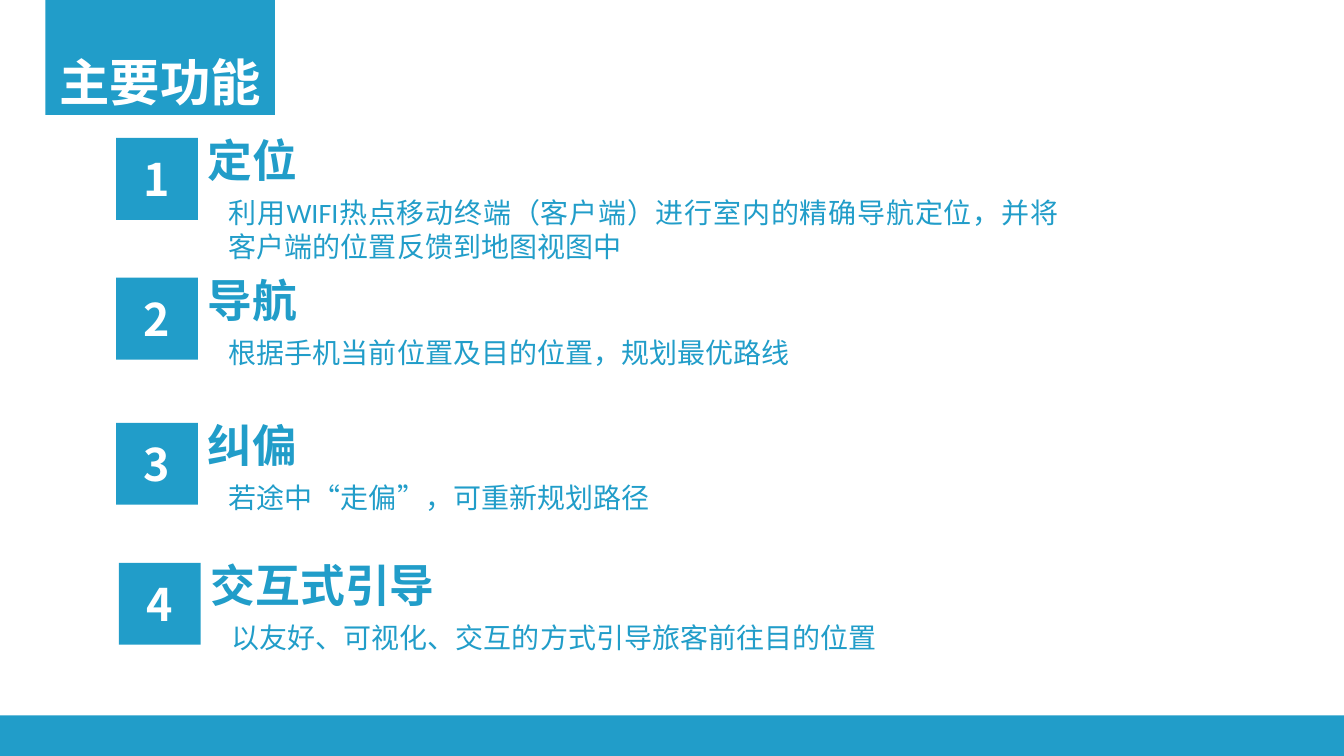
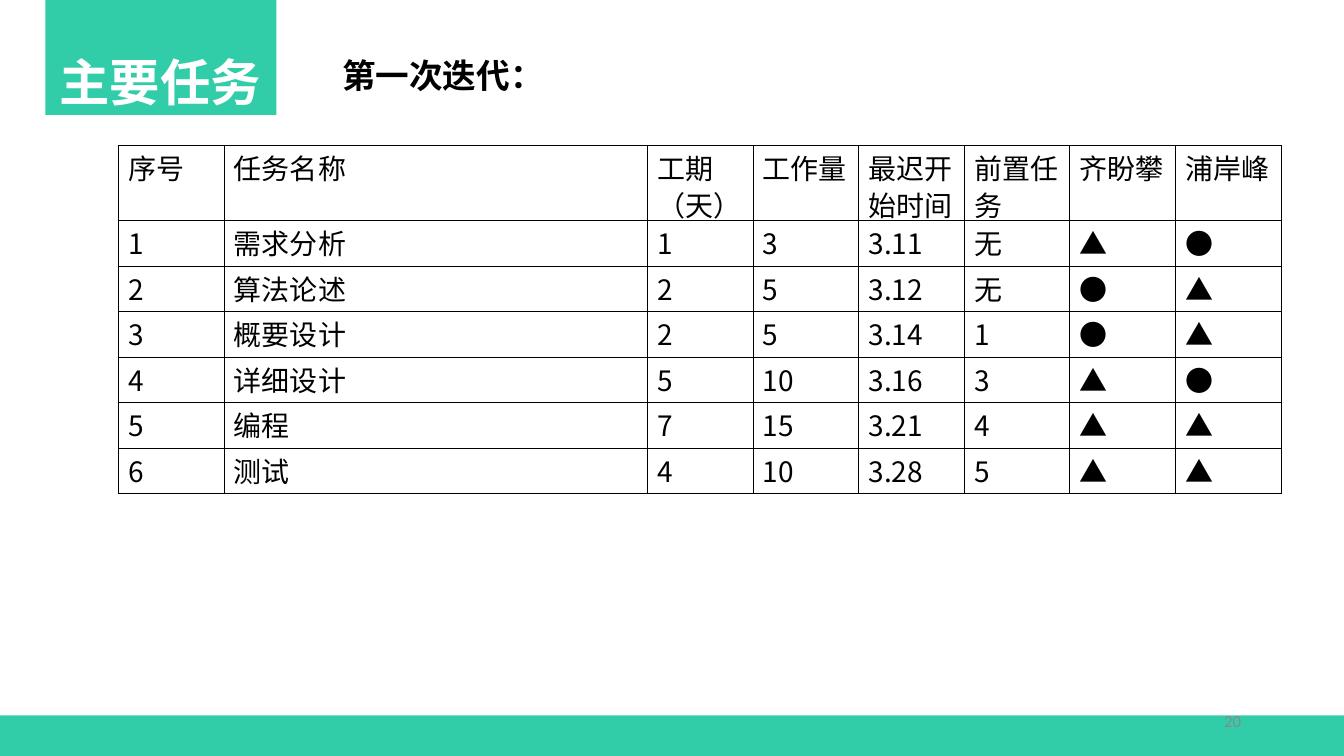
from dataclasses import dataclass

from lxml.etree import SubElement
from pptx import Presentation
from pptx.dml.color import RGBColor
from pptx.enum.lang import MSO_LANGUAGE_ID as Language
from pptx.enum.shapes import MSO_SHAPE as Shape
from pptx.enum.text import MSO_ANCHOR as Anchor, PP_ALIGN as Align
from pptx.oxml.ns import qn
from pptx.util import Pt


@dataclass(frozen=True)
class Theme:
    blue: str = "219DC9"
    green: str = "31CDA8"
    white: str = "FFFFFF"
    black: str = "000000"
    gray: str = "898989"
    latin: str = "Calibri"
    chinese: str = "Noto Sans CJK SC"
    title: int = 36
    heading: int = 32
    subtitle: int = 24
    body: int = 20
    footer: int = 12
    border: float = 0.25


theme = Theme()


def write(frame, text, size, color, font, bold=False, align=Align.LEFT):
    frame.text = text
    para = frame.paragraphs[0]
    para.alignment = align
    span = para.runs[0]
    span.font.size = Pt(size)
    span.font.bold = bold
    span.font.name = font
    span.font.color.rgb = RGBColor.from_string(color)
    span.font.language_id = Language.SIMPLIFIED_CHINESE
    SubElement(span.font._element, qn("a:ea"), typeface=theme.chinese)
    return para


def add_box(page, left, top, width, height, fill=None, wrap=True):
    lengths = [Pt(value) for value in (left, top, width, height)]
    if fill is None:
        box = page.shapes.add_textbox(*lengths)
    else:
        box = page.shapes.add_shape(Shape.RECTANGLE, *lengths)
        box.shadow.inherit = False
        box.fill.solid()
        box.fill.fore_color.rgb = RGBColor.from_string(fill)
        box.line.fill.background()
    box.text_frame.word_wrap = wrap
    return box


deck = Presentation()
deck.slide_width, deck.slide_height = Pt(960.5), Pt(540)

pages = []
for title, accent, tab_width in (
    ("主要功能", theme.blue, 164),
    ("主要任务", theme.green, 165),
):
    page = deck.slides.add_slide(deck.slide_layouts[6])
    add_box(page, 0, 511, 960.5, 30, accent)
    add_box(page, 32.5, 0, tab_width, 82, accent)
    title_box = add_box(page, 35.5, 33, 158.5, 50.5, wrap=False)
    write(title_box.text_frame, title, theme.title, theme.white, theme.chinese, True)
    pages.append(page)
features_page, tasks_page = pages

features = [
    (83, 98.6, "定位", "利用WIFI热点移动终端（客户端）进行室内的精确导航定位，并将客户端的位置反馈到地图视图中"),
    (83, 198.4, "导航", "根据手机当前位置及目的位置，规划最优路线"),
    (83, 302, "纠偏", "若途中“走偏”，可重新规划路径"),
    (85, 402, "交互式引导", "以友好、可视化、交互的方式引导旅客前往目的位置"),
]
for number, (left, top, heading, detail) in enumerate(features, 1):
    badge = add_box(features_page, left, top, 58.5, 58.5, theme.blue)
    badge.text_frame.vertical_anchor = Anchor.MIDDLE
    write(badge.text_frame, str(number), theme.heading, theme.white, theme.chinese, True, Align.CENTER)
    heading_width = theme.heading * len(heading) + 14.4
    heading_box = add_box(features_page, left + 58.5, top - 7, heading_width, 46, wrap=False)
    write(heading_box.text_frame, heading, theme.heading, theme.blue, theme.latin, True)
    detail_box = add_box(features_page, left + 73.5, top + 37.7, 607, 32)
    write(detail_box.text_frame, detail, theme.body, theme.blue, theme.latin, align=Align.JUSTIFY)

subtitle_box = add_box(tasks_page, 237.5, 36, 400, 36)
write(subtitle_box.text_frame, "第一次迭代：", theme.subtitle, theme.black, theme.chinese, True)

tasks = [
    ("序号", "任务名称", "工期（天）", "工作量", "最迟开始时间", "前置任务", "齐盼攀", "浦岸峰"),
    ("1", "需求分析", "1", "3", "3.11", "无", "▲", "●"),
    ("2", "算法论述", "2", "5", "3.12", "无", "●", "▲"),
    ("3", "概要设计", "2", "5", "3.14", "1", "●", "▲"),
    ("4", "详细设计", "5", "10", "3.16", "3", "▲", "●"),
    ("5", "编程", "7", "15", "3.21", "4", "▲", "▲"),
    ("6", "测试", "4", "10", "3.28", "5", "▲", "▲"),
]
column_widths = [75.5, 302.5] + [75.5] * 6
row_heights = [53.6] + [32.5] * 6
table = tasks_page.shapes.add_table(
    len(tasks), len(column_widths), Pt(84.5), Pt(104),
    Pt(sum(column_widths)), Pt(sum(row_heights)),
).table
table.first_row = table.horz_banding = False
for column, width in zip(table.columns, column_widths):
    column.width = Pt(width)
for row, height, values in zip(table.rows, row_heights, tasks):
    row.height = Pt(height)
    for cell, value in zip(row.cells, values):
        para = write(cell.text_frame, value, theme.body, theme.black, theme.chinese)
        para.line_spacing = 0.9
        properties = cell._tc.get_or_add_tcPr()
        for side in ("a:lnL", "a:lnR", "a:lnT", "a:lnB"):
            line = SubElement(properties, qn(side), w=str(Pt(theme.border)))
            SubElement(SubElement(line, qn("a:solidFill")), qn("a:srgbClr"), val=theme.black)
        cell.fill.background()

number_box = add_box(tasks_page, 678, 500.5, 216, 28.8)
number_box.text_frame.vertical_anchor = Anchor.MIDDLE
write(number_box.text_frame, "20", theme.footer, theme.gray, theme.latin, align=Align.RIGHT)

deck.save("out.pptx")
